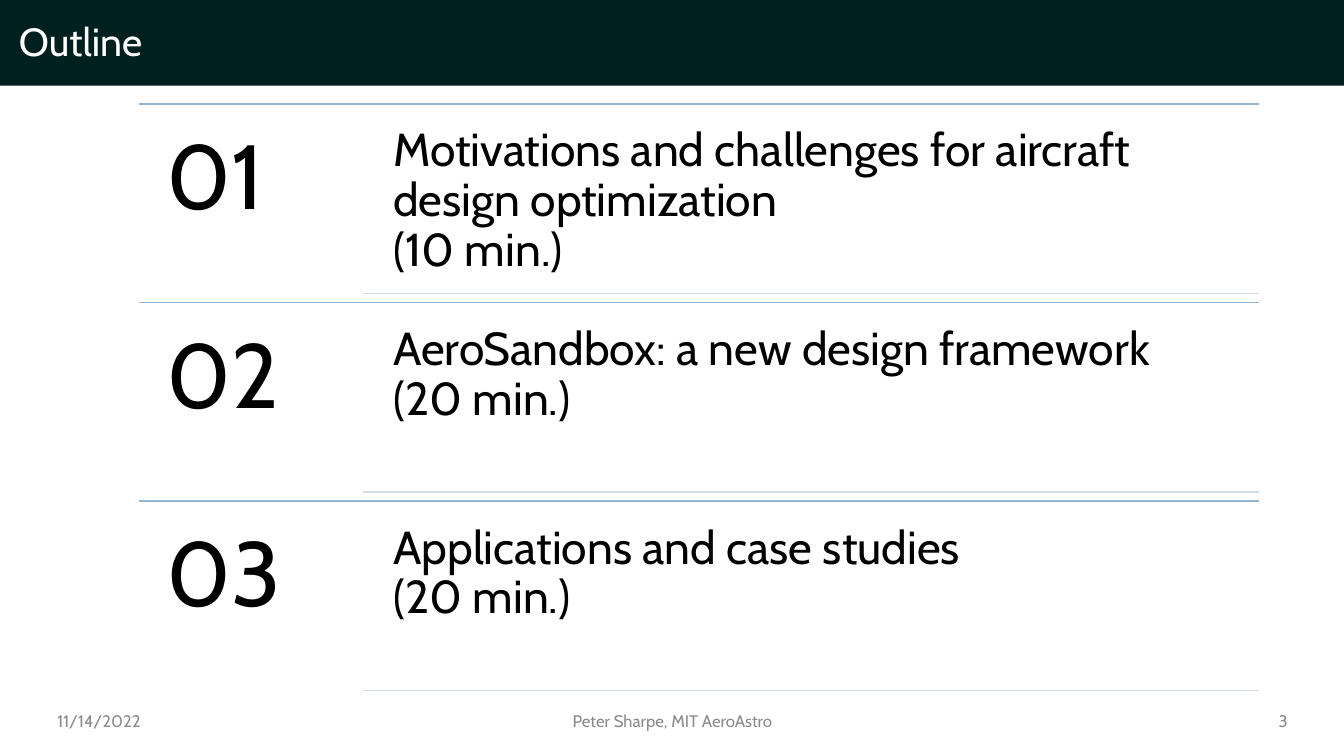
from lxml import etree
from pptx import Presentation
from pptx.dml.color import RGBColor
from pptx.enum.shapes import MSO_CONNECTOR, MSO_SHAPE
from pptx.enum.text import MSO_ANCHOR, PP_ALIGN
from pptx.oxml.ns import qn
from pptx.util import Inches, Pt

LEFT, CENTER, RIGHT = PP_ALIGN.LEFT, PP_ALIGN.CENTER, PP_ALIGN.RIGHT
TOP, MIDDLE = MSO_ANCHOR.TOP, MSO_ANCHOR.MIDDLE
STRAIGHT, RECTANGLE = MSO_CONNECTOR.STRAIGHT, MSO_SHAPE.RECTANGLE

THEME = {
    "font": "Cabin",
    "banner": "002020", "title": "FFFFFF", "body": "000000", "footer": "8C8C8C",
    "rule": "94B6D2", "subrule": "D2DEEA",
    "title_pt": 28, "number_pt": 65, "topic_pt": 33, "footer_pt": 12, "rule_pt": 1,
}

prs = Presentation()
prs.slide_width, prs.slide_height = Inches(13.33), Inches(7.5)
slide = prs.slides.add_slide(prs.slide_layouts[6])


def add_text(text, box, role, color, align=LEFT, anchor=TOP, inset=None, spacing=None):
    frame = slide.shapes.add_textbox(*map(Inches, box)).text_frame
    frame.word_wrap = True
    frame.vertical_anchor = anchor
    if inset is not None:
        frame.margin_left = frame.margin_right = Inches(inset)
        frame.margin_top = frame.margin_bottom = Inches(inset)
    frame.text = text
    paragraph = frame.paragraphs[0]
    paragraph.alignment = align
    paragraph.line_spacing = spacing
    for run in paragraph.runs:
        run.font.name = THEME["font"]
        run.font.size = Pt(THEME[role])
        run.font.color.rgb = RGBColor.from_string(THEME[color])


def add_rule(left, right, y, color):
    rule = slide.shapes.add_connector(
        STRAIGHT, Inches(left), Inches(y), Inches(right), Inches(y))
    rule.line.color.rgb = RGBColor.from_string(THEME[color])
    rule.line.width = Pt(THEME["rule_pt"])
    etree.SubElement(rule.element.spPr, qn("a:effectLst"))


# Title banner
banner = slide.shapes.add_shape(RECTANGLE, 0, 0, prs.slide_width, Inches(0.85))
banner.shadow.inherit = False
banner.fill.solid()
banner.fill.fore_color.rgb = RGBColor.from_string(THEME["banner"])
banner.line.fill.background()
add_text("Outline", (0.09, 0.16, 12.4, 0.54), "title_pt", "title",
         anchor=MIDDLE, spacing=0.9)

# Footer
for text, left, width, align in [
    ("11/14/2022", 0.47, 1.31, LEFT),
    ("Peter Sharpe, MIT AeroAstro", 1.92, 9.5, CENTER),
    ("3", 11.56, 1.31, RIGHT),
]:
    add_text(text, (left, 6.95, width, 0.4), "footer_pt", "footer", align, MIDDLE)

# Outline rows: number column, then topic column
topics = [
    "Motivations and challenges for aircraft design optimization\v(10 min.)",
    "AeroSandbox: a new design framework\v(20 min.)",
    "Applications and case studies\v(20 min.)",
]
list_left, list_right, list_top = 1.38, 12.49, 1.03
row_height, number_width = 1.97, 2.22
topic_left, topic_indent = list_left + number_width, 0.16
topic_offset, topic_height = 0.09, 1.79

for index, topic in enumerate(topics):
    row_top = list_top + index * row_height
    topic_top = row_top + topic_offset
    text_left = topic_left + topic_indent
    add_rule(list_left, list_right, row_top, "rule")
    add_text(f"{index + 1:02}", (list_left, row_top, number_width, row_height),
             "number_pt", "body", inset=0.27, spacing=0.9)
    add_text(topic, (text_left, topic_top, list_right - text_left, topic_height),
             "topic_pt", "body", inset=0.14, spacing=0.9)
    add_rule(topic_left, list_right, topic_top + topic_height, "subrule")

prs.save("out.pptx")
